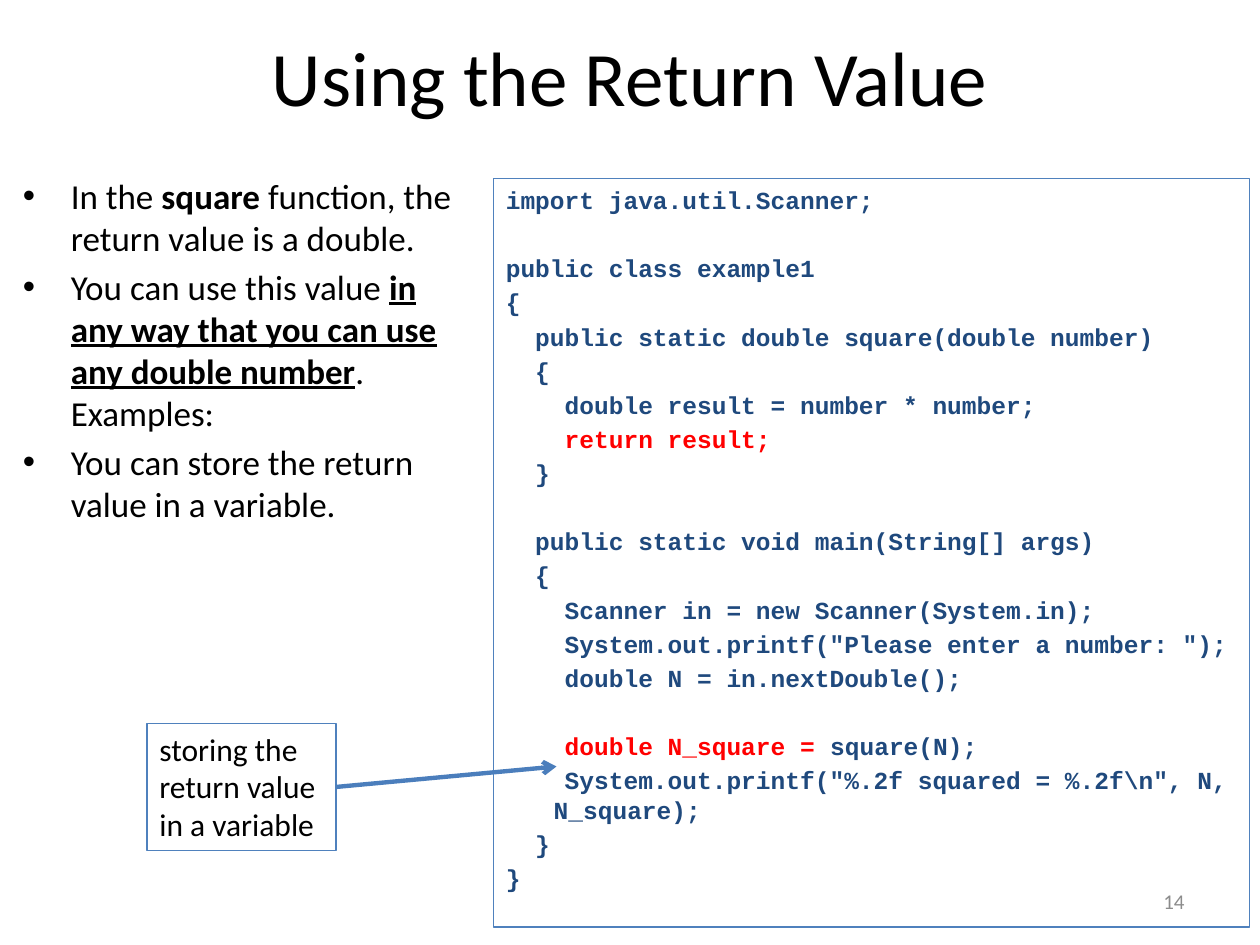
from pptx import Presentation, util as u
from pptx.dml.color import RGBColor
from pptx.enum import shapes, text
from lxml import etree

# Content: a paragraph is a list of (words, format) runs
TITLE = "Using the Return Value"
POINTS = [
    [("In the", {}), (" square", {"bold": True}),
     (" function, the return value is a double.", {})],
    [("You can use this value ", {}),
     ("in any way that you can use any double number", {"bold": True, "line": True}),
     (". Examples:", {})],
    [("You can store the return value in a variable.", {})],
]
CODE = r'''import java.util.Scanner;

public class example1
{
  public static double square(double number)
  {
    double result = number * number;
    return result;
  }

  public static void main(String[] args)
  {
    Scanner in = new Scanner(System.in);
    System.out.printf("Please enter a number: ");
    double N = in.nextDouble();

    double N_square = square(N);
    System.out.printf("%.2f squared = %.2f\n", N, N_square);
  }
}'''
MARKS = ["    return result;", "    double N_square ="]
NOTE = "storing the return value in a variable"
PAGE = "14"

THEME = {
    "sans": "Calibri", "mono": "Courier New",
    "ink": "000000", "code": "1F497D", "mark": "FF0000",
    "edge": "4F81BD", "arrow": "4B7EBC", "grey": "8C8C8C",
    "title": 44, "body": 20, "note": 18, "small": 14, "page": 12,
}

# Grid of 120 columns and 90 rows
W, H = u.Inches(10), u.Inches(7.5)
COL, ROW = W / 120, H / 90
HANG = u.Inches(0.38)


def area(left, top, wide, high):
    return [round(v) for v in (left * COL, top * ROW, wide * COL, high * ROW)]


def color(name):
    return RGBColor.from_string(THEME[name])


def write(frame, paras, size="body", font="sans", ink="ink", bold=False,
          align=text.PP_ALIGN.LEFT, anchor=text.MSO_ANCHOR.TOP,
          hang=False, bullet=False, gap=0, lead=None):
    frame.word_wrap = True
    frame.auto_size = text.MSO_AUTO_SIZE.NONE
    frame.vertical_anchor = anchor
    for i, runs in enumerate(paras):
        para = frame.paragraphs[0] if i == 0 else frame.add_paragraph()
        if hang:
            props = para._p.get_or_add_pPr()
            props.set("marL", str(HANG))
            props.set("indent", str(-HANG))
            if bullet:
                ns = "{http://schemas.openxmlformats.org/drawingml/2006/main}"
                etree.SubElement(props, ns + "buFont", typeface="Arial")
                etree.SubElement(props, ns + "buChar", char="•")
        para.alignment = align
        para.space_before = u.Pt(gap if i else 0)
        if lead:
            para.line_spacing = u.Pt(lead)
        para.font.size = u.Pt(THEME[size])
        for words, form in runs:
            run = para.add_run()
            run.text = words
            run.font.size = u.Pt(THEME[size])
            run.font.name = THEME[font]
            run.font.bold = form.get("bold", bold)
            run.font.underline = form.get("line", False)
            run.font.color.rgb = color(form.get("ink", ink))


def paint(line):
    """Split a code line into its marked start and the rest."""
    for mark in MARKS:
        if line.startswith(mark):
            parts = [(mark, {"ink": "mark"}), (line[len(mark):], {})]
            return [part for part in parts if part[0]]
    return [(line, {})] if line else []


def frame_box(slide, place):
    box = slide.shapes.add_shape(shapes.MSO_SHAPE.RECTANGLE, *place)
    box.shadow.inherit = False
    box.fill.background()
    box.line.color.rgb = color("edge")
    box.line.width = u.Pt(0.75)
    return box


def main():
    deck = Presentation()
    deck.slide_width, deck.slide_height = W, H
    slide = deck.slides.add_slide(deck.slide_layouts[5])

    # Title
    head = slide.shapes.title
    head.left, head.top, head.width, head.height = area(6, 1.5, 108, 11.5)
    write(head.text_frame, [[(TITLE, {})]], size="title",
          align=text.PP_ALIGN.CENTER, anchor=text.MSO_ANCHOR.MIDDLE)

    # Bullet points
    body = slide.shapes.add_textbox(*area(1, 16, 45, 71))
    write(body.text_frame, POINTS, hang=True, bullet=True, gap=4)

    # Page number
    page = slide.shapes.add_textbox(*area(86, 83.4, 28, 4.8))
    write(page.text_frame, [[(PAGE, {})]], size="page", ink="grey",
          align=text.PP_ALIGN.RIGHT, anchor=text.MSO_ANCHOR.MIDDLE)

    # Code
    code = frame_box(slide, area(47, 17, 72, 71.3))
    write(code.text_frame, [paint(line) for line in CODE.split("\n")],
          size="small", font="mono", ink="code", bold=True,
          hang=True, gap=2.5, lead=17)

    # Note and its arrow
    note = frame_box(slide, area(14, 68.9, 18, 12.1))
    write(note.text_frame, [[(NOTE, {})]], size="note")
    tip = area(53, 73, 0, 0)[:2]
    arrow = slide.shapes.add_connector(shapes.MSO_CONNECTOR.STRAIGHT, 0, 0, *tip)
    arrow.begin_connect(note, 3)
    arrow.line.color.rgb = color("arrow")
    arrow.line.width = u.Pt(2.5)
    ns = "{http://schemas.openxmlformats.org/drawingml/2006/main}"
    etree.SubElement(arrow.line._get_or_add_ln(), ns + "tailEnd", type="arrow")
    etree.SubElement(arrow._element.spPr, ns + "effectLst")

    deck.save("out.pptx")


if __name__ == "__main__":
    main()
